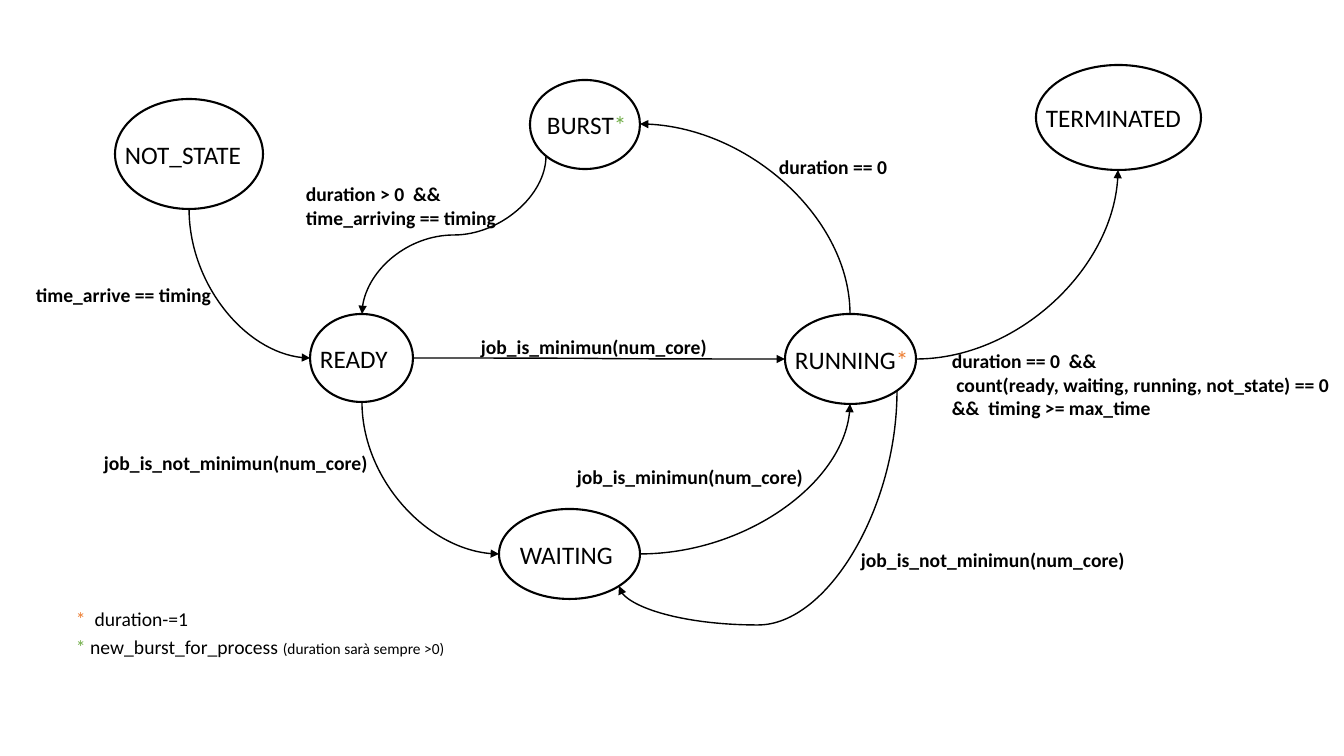
from dataclasses import dataclass
from math import sqrt

from lxml import etree
from pptx import Presentation
from pptx import util as u
from pptx.dml.color import RGBColor
from pptx.enum import shapes, text
from pptx.oxml.ns import qn


@dataclass
class Theme:
    font: str = "Calibri"
    ink: str = "000000"
    paper: str = "FFFFFF"
    orange: str = "ED7D31"
    green: str = "70AD47"
    state: int = 18
    label: int = 14
    note: int = 11
    rim: float = 1.5
    arrow: float = 1


@dataclass
class State:
    x: int
    y: int
    w: int
    h: int

    def port(self, dx, dy):
        """Point on the rim in the direction (dx, dy)."""
        size = 2 * sqrt(dx * dx + dy * dy)
        return (round(self.x + self.w / 2 + dx * self.w / size),
                round(self.y + self.h / 2 + dy * self.h / size))


def px(value):
    return u.Emu(round(value * 914400 / 100.8))


class Board:
    def __init__(self, slide, theme):
        self.items = slide.shapes
        self.theme = theme

    def add(self, par, words, size, color=None, bold=False):
        """Append a styled run to a paragraph."""
        run = par.add_run()
        run.text = words
        self.style(run, size, color, bold)

    def style(self, run, size, color=None, bold=False):
        run.font.name = self.theme.font
        run.font.size = u.Pt(size)
        run.font.bold = bold
        run.font.color.rgb = RGBColor.from_string(color or self.theme.ink)

    def label(self, x, y, w, h, words, size=None, color=None, bold=True):
        """Text box; returns its last paragraph."""
        frame = self.items.add_textbox(*map(px, (x, y, w, h))).text_frame
        frame.word_wrap = True
        frame.auto_size = text.MSO_AUTO_SIZE.SHAPE_TO_FIT_TEXT
        frame.text = words
        for par in frame.paragraphs:
            for run in par.runs:
                self.style(run, size or self.theme.label, color, bold)
        return frame.paragraphs[-1]

    def state(self, name, x, y, w, h, left, width, star=None):
        """Ellipse with its name, and a coloured star if one is given."""
        oval = self.items.add_shape(shapes.MSO_SHAPE.OVAL,
                                    *map(px, (x, y, w, h)))
        oval.shadow.inherit = False
        oval.fill.solid()
        oval.fill.fore_color.rgb = RGBColor.from_string(self.theme.paper)
        oval.line.color.rgb = RGBColor.from_string(self.theme.ink)
        oval.line.width = u.Pt(self.theme.rim)
        par = self.label(left, y + h // 2 - 20, width, 40, name,
                         self.theme.state, bold=False)
        if star:
            self.add(par, "*", self.theme.state, star)
        return State(x, y, w, h)

    def curve(self, start, end, kind=2, down=False, bend=None):
        """Curved arrow; down means it leaves its start vertically."""
        (x0, y0), (x1, y1) = start, end
        turn = 0
        if down:
            # Quarter-turned box about the same centre
            mx, my = (x0 + x1) / 2, (y0 + y1) / 2
            dx, dy = (x1 - x0) / 2, (y1 - y0) / 2
            turn = 90 if dx < 0 < dy else 270
            if turn == 270:
                dx, dy = dx, -dy
            else:
                dx, dy = -dx, dy
            x0, y0, x1, y1 = mx - dy, my - dx, mx + dy, my + dx
        link = self.items.add_connector(shapes.MSO_CONNECTOR.CURVE,
                                        *map(px, (x0, y0, x1, y1)))
        link.line.color.rgb = RGBColor.from_string(self.theme.ink)
        link.line.width = u.Pt(self.theme.arrow)
        props = link._element.spPr
        if turn:
            props.find(qn("a:xfrm")).set("rot", str(turn * 60000))
        geom = props.find(qn("a:prstGeom"))
        geom.set("prst", f"curvedConnector{kind}")
        if bend:
            etree.SubElement(geom.find(qn("a:avLst")), qn("a:gd"),
                             name="adj1", fmla=f"val {round(bend * 100000)}")
        etree.SubElement(props.find(qn("a:ln")), qn("a:tailEnd"),
                         type="triangle")
        etree.SubElement(props, qn("a:effectLst"))


deck = Presentation()
deck.slide_width, deck.slide_height = px(1344), px(756)
theme = Theme()
board = Board(deck.slides.add_slide(deck.slide_layouts[6]), theme)

# States
fresh = board.state("NOT_STATE", 115, 99, 148, 110, 115, 148)
ready = board.state("READY", 310, 314, 103, 88, 310, 103)
running = board.state("RUNNING", 785, 314, 131, 90, 785, 148, theme.orange)
waiting = board.state("WAITING", 499, 509, 141, 90, 510, 115)
burst = board.state("BURST", 530, 80, 110, 89, 537, 100, theme.green)
ended = board.state("TERMINATED", 1036, 65, 165, 105, 1036, 165)

# Transitions
up, low, left, right = (0, -1), (0, 1), (-1, 0), (1, 0)
board.curve(fresh.port(*low), ready.port(*left), down=True)
board.curve(ready.port(*right), running.port(*left), kind=3)
board.curve(ready.port(*low), waiting.port(*left), down=True)
board.curve(waiting.port(*right), running.port(*low))
board.curve(running.port(1, 1), waiting.port(1, 1), 3, True, 1.2)
board.curve(burst.port(-1, 1), ready.port(*up), 3, True)
board.curve(running.port(*up), burst.port(*right), down=True)
board.curve(running.port(*right), ended.port(*low))

# Conditions
for place in (
    (26, 278, 197, 34, "time_arrive == timing"),
    (296, 177, 226, 89, "duration > 0  && time_arriving == timing"),
    (769, 150, 138, 65, "duration == 0"),
    (567, 460, 257, 34, "job_is_minimun(num_core)"),
    (471, 330, 257, 34, "job_is_minimun(num_core)"),
    (94, 446, 297, 34, "job_is_not_minimun(num_core)"),
    (851, 543, 322, 34, "job_is_not_minimun(num_core)"),
    (942, 344, 411, 82, "duration == 0  && \n"
     " count(ready, waiting, running, not_state) == 0\n"
     "&&  timing >= max_time"),
):
    board.label(*place)

# Legend
par = board.label(66, 602, 142, 34, "* ", color=theme.orange, bold=False)
board.add(par, " duration-=1", theme.label)
par = board.label(66, 630, 411, 34, "* ", color=theme.green, bold=False)
board.add(par, "new_burst_for_process ", theme.label)
board.add(par, "(duration sarà sempre >0)", theme.note)

deck.save("out.pptx")
